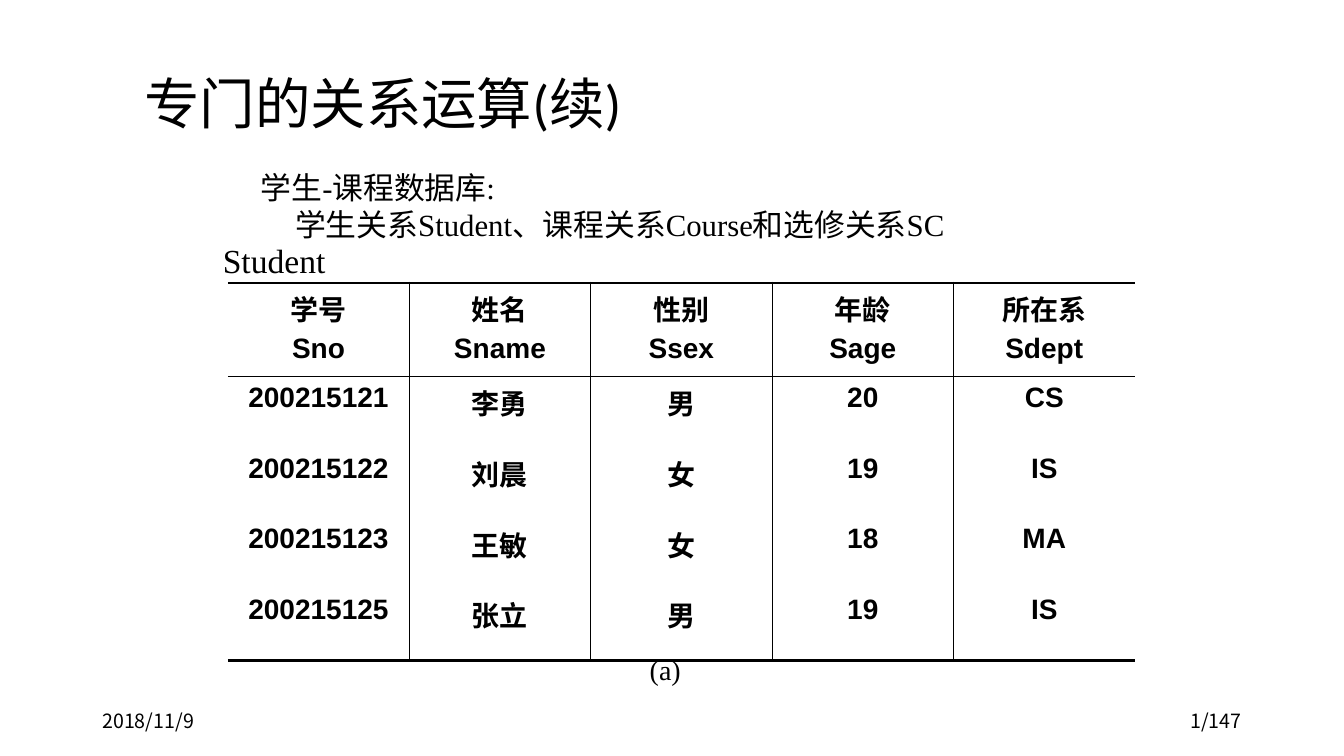
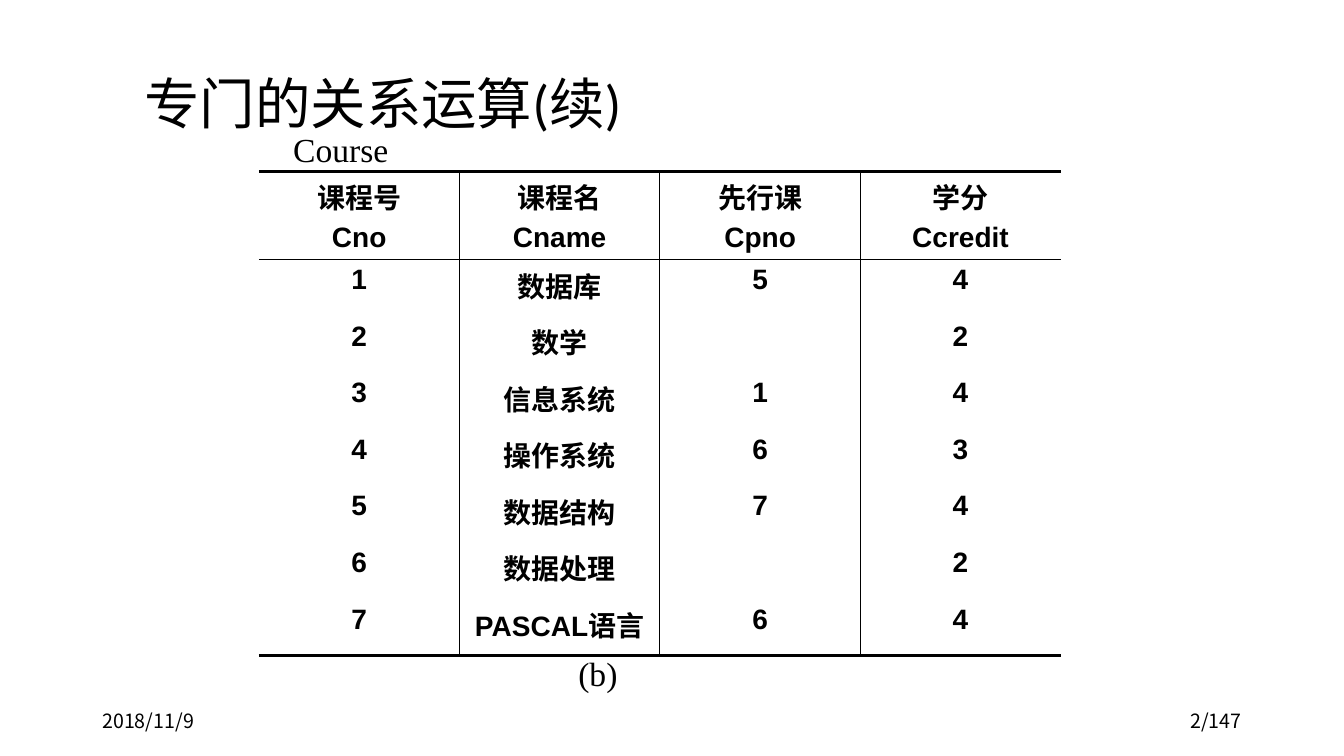
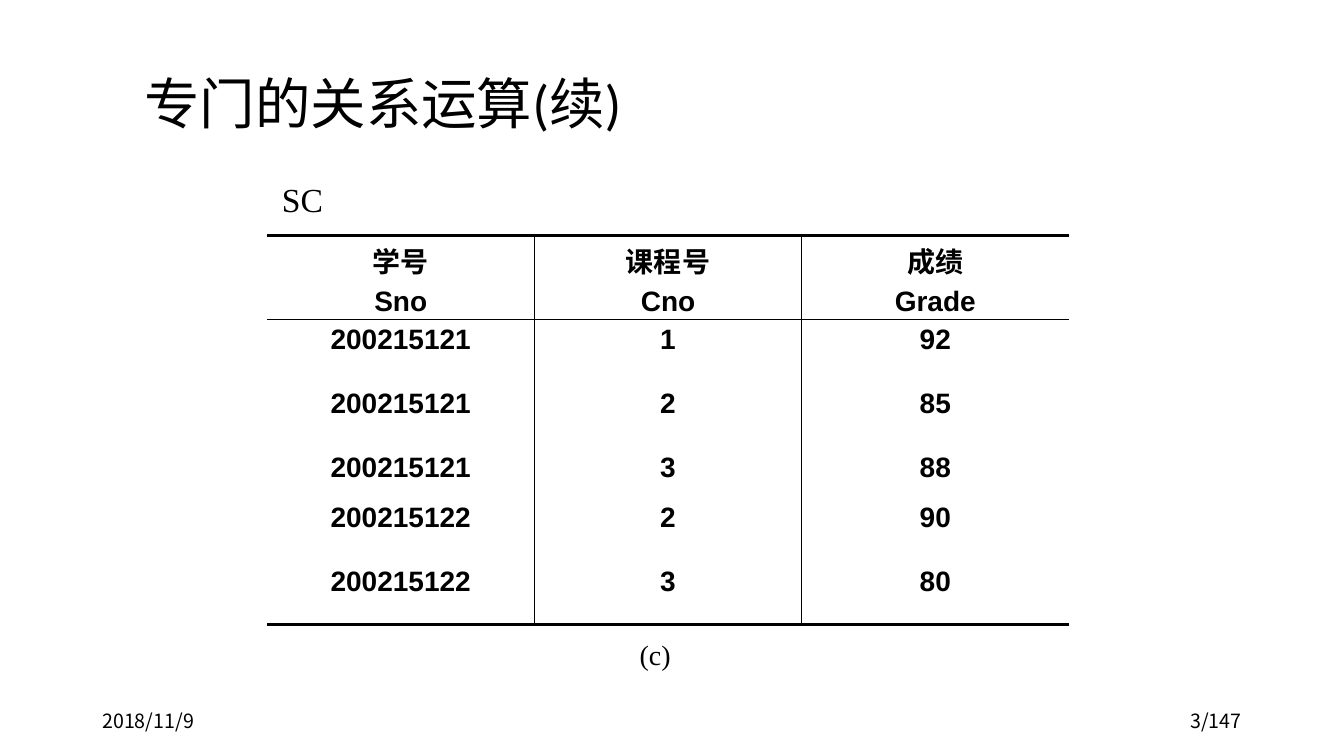
from lxml.etree import SubElement
from pptx import Presentation
from pptx.dml.color import RGBColor
from pptx.enum.text import MSO_ANCHOR, PP_ALIGN
from pptx.oxml.ns import qn
from pptx.util import Pt

BLACK = RGBColor(0, 0, 0)
SERIF = "Times New Roman"
FOOTER_FONT = "Noto Sans CJK SC"
NO_GRID_STYLE = "{2D5ABB26-0587-4C30-8999-92F81FD0307C}"
TITLE = "专门的关系运算(续)"
DATE = "2018/11/9"
TOTAL_PAGES = 147
THICK, THIN = 2.25, 1

RELATIONS = [
    {
        "table": (162.7, 202.2, 648),
        "heights": [67] + [50.6] * 4,
        "rows": [
            ["学号\nSno", "姓名\nSname", "性别\nSsex", "年龄\nSage", "所在系\nSdept"],
            ["200215121", "李勇", "男", "20", "CS"],
            ["200215122", "刘晨", "女", "19", "IS"],
            ["200215123", "王敏", "女", "18", "MA"],
            ["200215125", "张立", "男", "19", "IS"],
        ],
        "labels": [
            ("Student", (145.8, 162, 100, 48), 24, PP_ALIGN.CENTER),
            ("(a)", (202.3, 462.6, 545.8, 31), 20, PP_ALIGN.CENTER),
        ],
    },
    {
        "table": (185, 122.4, 572.8),
        "heights": [62.9] + [40.4] * 7,
        "rows": [
            ["课程号\nCno", "课程名\nCname", "先行课\nCpno", "学分\nCcredit"],
            ["1", "数据库", "5", "4"],
            ["2", "数学", "", "2"],
            ["3", "信息系统", "1", "4"],
            ["4", "操作系统", "6", "3"],
            ["5", "数据结构", "7", "4"],
            ["6", "数据处理", "", "2"],
            ["7", "PASCAL语言", "6", "4"],
        ],
        "labels": [
            ("Course", (202.3, 88, 90, 36.7), 24, PP_ALIGN.LEFT),
            ("(b)", (406, 462.4, 48, 36.7), 24, PP_ALIGN.LEFT),
        ],
    },
    {
        "table": (190.8, 168, 572.8),
        "heights": [60.2, 45.6, 45.6, 36, 45.6, 45.2],
        "rows": [
            ["学号\nSno", "课程号\nCno", "成绩\nGrade"],
            ["200215121", "1", "92"],
            ["200215121", "2", "85"],
            ["200215121", "3", "88"],
            ["200215122", "2", "90"],
            ["200215122", "3", "80"],
        ],
        "labels": [
            ("SC", (173.5, 122.4, 85, 39.6), 24, PP_ALIGN.CENTER),
            ("(c)", (434.9, 451.6, 66.2, 31), 20, PP_ALIGN.CENTER),
        ],
    },
]


def add_text(slide, text, box, size, font_name, align=PP_ALIGN.LEFT):
    frame = slide.shapes.add_textbox(*[Pt(length) for length in box]).text_frame
    frame.word_wrap = True
    frame.vertical_anchor = MSO_ANCHOR.MIDDLE
    frame.text = text
    for paragraph in frame.paragraphs:
        paragraph.alignment = align
        paragraph.font.size = Pt(size)
        paragraph.font.name = font_name
        paragraph.font.color.rgb = BLACK
    return frame.paragraphs


def set_border(cell, side, width):
    properties = cell._tc.get_or_add_tcPr()
    line = SubElement(properties, qn(f"a:ln{side}"), w=str(Pt(width)))
    if width:
        fill = SubElement(line, qn("a:solidFill"))
        SubElement(fill, qn("a:srgbClr"), val=str(BLACK))
    else:
        SubElement(line, qn("a:noFill"))


presentation = Presentation()
presentation.slide_width = Pt(960)
presentation.slide_height = Pt(540)

for page, relation in enumerate(RELATIONS, 1):
    slide = presentation.slides.add_slide(presentation.slide_layouts[6])
    add_text(slide, DATE, (66, 500.5, 216, 28.8), 14, FOOTER_FONT)
    add_text(slide, f"{page}/{TOTAL_PAGES}", (678, 500.5, 216, 28.8), 14,
             FOOTER_FONT, PP_ALIGN.RIGHT)
    title = add_text(slide, TITLE, (96, 54, 776, 44.6), 39.6, "Calibri")[0]
    title.line_spacing = 0.9

    if page == 1:
        introduction = add_text(
            slide, "学生-课程数据库:\n学生关系Student、课程关系Course和选修关系SC",
            (179.3, 116.6, 589.7, 60), 22, SERIF)
        introduction[1]._p.get_or_add_pPr().set("marL", str(Pt(24.5)))

    rows, heights = relation["rows"], relation["heights"]
    left, top, width = relation["table"]
    last_row, last_column = len(rows) - 1, len(rows[0]) - 1
    graphic_frame = slide.shapes.add_table(
        len(rows), len(rows[0]), Pt(left), Pt(top), Pt(width), Pt(sum(heights)))
    table = graphic_frame.table
    table._tbl.tblPr.find(qn("a:tableStyleId")).text = NO_GRID_STYLE
    table.first_row = table.horz_banding = False

    for row_index, (values, height) in enumerate(zip(rows, heights)):
        table.rows[row_index].height = Pt(height)
        for column_index, value in enumerate(values):
            cell = table.cell(row_index, column_index)
            cell.text = value
            for paragraph in cell.text_frame.paragraphs:
                paragraph.alignment = PP_ALIGN.CENTER
                paragraph.space_before = Pt(3.5)
                paragraph.font.size = Pt(20)
                paragraph.font.name = "Arial"
                paragraph.font.bold = True
                paragraph.font.color.rgb = BLACK
            set_border(cell, "L", THIN if column_index > 0 else 0)
            set_border(cell, "R", THIN if column_index < last_column else 0)
            set_border(cell, "T", {0: THICK, 1: THIN}.get(row_index, 0))
            set_border(cell, "B", {0: THIN, last_row: THICK}.get(row_index, 0))
            cell.fill.background()

    for text, box, size, align in relation["labels"]:
        add_text(slide, text, box, size, SERIF, align)

presentation.save("out.pptx")
